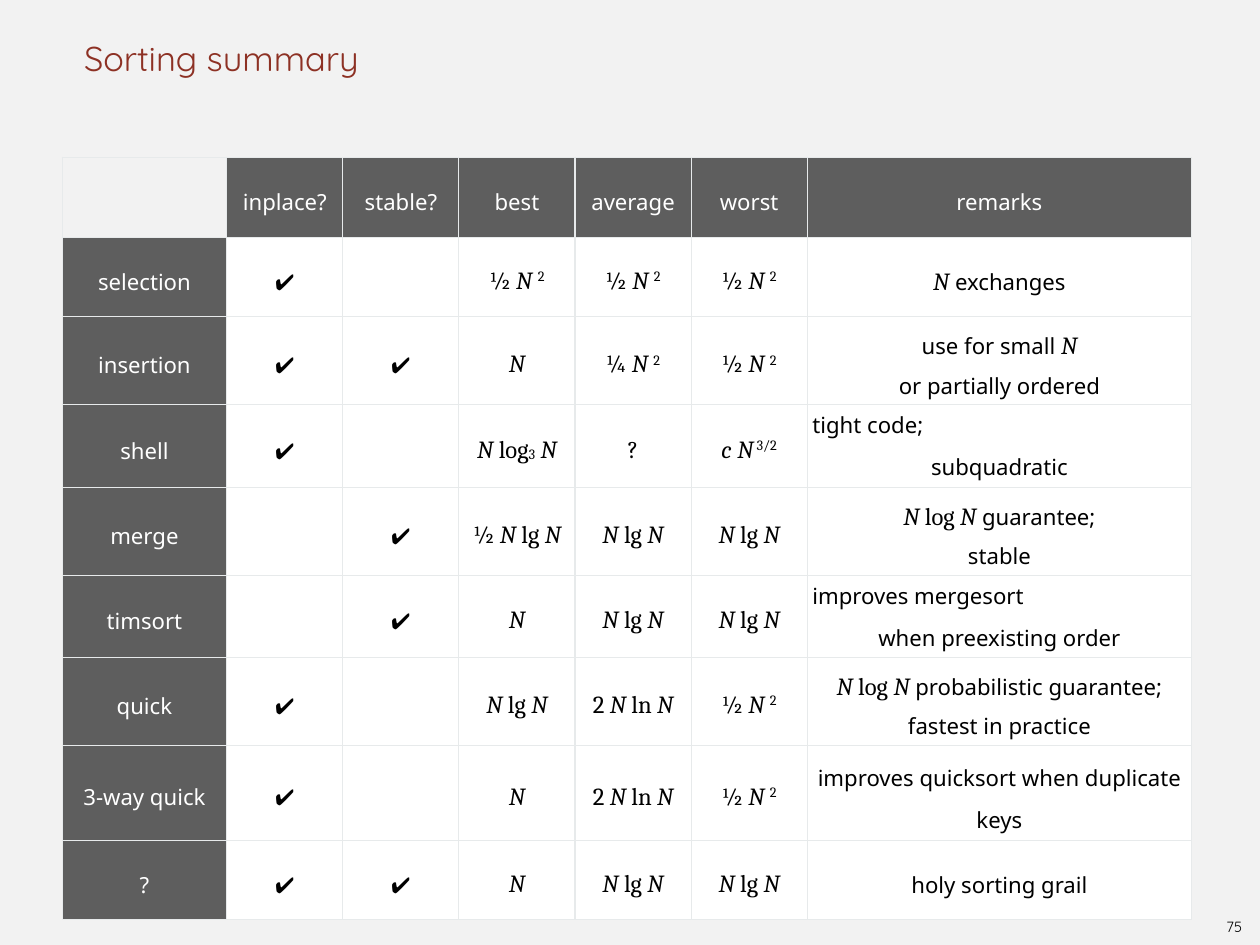
from lxml import etree
from pptx import Presentation
from pptx.dml.color import RGBColor
from pptx.enum.text import MSO_ANCHOR, PP_ALIGN
from pptx.oxml.ns import qn
from pptx.util import Inches, Pt

CENTER, LEFT = PP_ALIGN.CENTER, PP_ALIGN.LEFT
MIDDLE, BOTTOM = MSO_ANCHOR.MIDDLE, MSO_ANCHOR.BOTTOM
BACKGROUND = RGBColor(0xF2, 0xF2, 0xF2)
TITLE_RED = RGBColor(0x8D, 0x31, 0x24)
HEADER_GRAY = RGBColor(0x5E, 0x5E, 0x5E)
WHITE = RGBColor(0xFF, 0xFF, 0xFF)
BLACK = RGBColor(0x00, 0x00, 0x00)
BORDER = "E7EAEB"
SLIDE_WIDTH, SLIDE_HEIGHT = 14.22, 10.67
INSET = 0.06
COLUMN_WIDTHS = [1.86] + [1.31] * 5 + [4.34]
ROW_HEIGHTS = [0.9, 0.9, 0.99, 0.94, 0.99, 0.93, 0.99, 1.07, 0.9]
BASELINES = {"^": "32000", "_": "-6000"}

CHECK = "✔"
HALF_SQUARE = "~½|/ N |^2"
LINEARITHMIC = "/N|~ lg |/N"
LINEAR = "/N"
TWO_N_LN_N = "~2 |/N|~ ln |/N"
ROWS = [
    ["", "inplace?", "stable?", "best", "average", "worst", "remarks"],
    ["selection", CHECK, "", HALF_SQUARE, HALF_SQUARE, HALF_SQUARE, "/N| exchanges"],
    ["insertion", CHECK, CHECK, LINEAR, "~¼|/ N |^2", HALF_SQUARE,
     "use for small |/N\nor partially ordered"],
    ["shell", CHECK, "", "/N |~log|_3|/ N", "~?", "/c N|^ 3/2",
     "tight code;\nsubquadratic"],
    ["merge", "", CHECK, "~½ |/N|~ lg |/N", LINEARITHMIC, LINEARITHMIC,
     "/N |~log |/N| guarantee;\nstable"],
    ["timsort", "", CHECK, LINEAR, LINEARITHMIC, LINEARITHMIC,
     "improves mergesort\nwhen preexisting order"],
    ["quick", CHECK, "", LINEARITHMIC, TWO_N_LN_N, HALF_SQUARE,
     "/N |~log |/N| probabilistic guarantee;\nfastest in practice"],
    ["3-way quick", CHECK, "", LINEAR, TWO_N_LN_N, HALF_SQUARE,
     "improves quicksort when duplicate keys"],
    ["?", CHECK, CHECK, LINEAR, LINEARITHMIC, LINEARITHMIC, "holy sorting grail"],
]
LOOSE_REMARKS = ("shell", "timsort", "3-way quick")
LEFT_FIRST_LINES = ("shell", "timsort")


def add_run(paragraph, text, size, font_name, color):
    run = paragraph.add_run()
    run.text = text
    run.font.size = Pt(size)
    run.font.name = font_name
    run.font.color.rgb = color
    return run


def add_label(slide, box, text, size, color, anchor, alignment, inset):
    shape = slide.shapes.add_textbox(*[Inches(length) for length in box])
    frame = shape.text_frame
    frame.word_wrap = alignment == LEFT
    frame.vertical_anchor = anchor
    frame.margin_left = frame.margin_right = Inches(inset)
    frame.margin_top = frame.margin_bottom = Inches(inset)
    paragraph = frame.paragraphs[0]
    paragraph.alignment = alignment
    add_run(paragraph, text, size, "Quicksand", color)
    return paragraph


presentation = Presentation()
presentation.slide_width = Inches(SLIDE_WIDTH)
presentation.slide_height = Inches(SLIDE_HEIGHT)
slide = presentation.slides.add_slide(presentation.slide_layouts[6])
slide.background.fill.solid()
slide.background.fill.fore_color.rgb = BACKGROUND

add_label(slide, (13.76, 10.3, 0.34, 0.32), "75", 12, BLACK, MIDDLE, CENTER, INSET)
title = add_label(slide, (SLIDE_WIDTH / 16, 0, SLIDE_WIDTH * 7 / 8, SLIDE_HEIGHT / 12),
                  "Sorting summary", 28, TITLE_RED, BOTTOM, LEFT, 0)
title._p.get_or_add_pPr().set("marL", str(Inches(INSET)))

table = slide.shapes.add_table(
    len(ROWS), len(COLUMN_WIDTHS), Inches(0.7), Inches(SLIDE_HEIGHT / 6),
    Inches(sum(COLUMN_WIDTHS)), Inches(sum(ROW_HEIGHTS))).table
table.first_row = False
table.horz_banding = False
for column, width in zip(table.columns, COLUMN_WIDTHS):
    column.width = Inches(width)

for row_index, row in enumerate(ROWS):
    table.rows[row_index].height = Inches(ROW_HEIGHTS[row_index])
    name = row[0]
    for column_index, content in enumerate(row):
        cell = table.cell(row_index, column_index)
        cell.vertical_anchor = MIDDLE
        cell.margin_left = cell.margin_right = Inches(INSET)
        cell.margin_top = cell.margin_bottom = Inches(INSET)
        properties = cell._tc.get_or_add_tcPr()
        for side in ("a:lnL", "a:lnR", "a:lnT", "a:lnB"):
            line = etree.SubElement(properties, qn(side), w=str(Pt(1)))
            line_fill = etree.SubElement(line, qn("a:solidFill"))
            etree.SubElement(line_fill, qn("a:srgbClr"), val=BORDER)

        is_header = row_index == 0 or column_index == 0
        is_remark = column_index == len(row) - 1
        if row_index == column_index == 0:
            cell.fill.background()
        else:
            cell.fill.solid()
            cell.fill.fore_color.rgb = HEADER_GRAY if is_header else WHITE
        if not content:
            continue

        for line_index, text in enumerate(content.split("\n")):
            frame = cell.text_frame
            paragraph = frame.add_paragraph() if line_index else frame.paragraphs[0]
            if is_remark and line_index == 0 and name in LEFT_FIRST_LINES:
                paragraph.alignment = LEFT
                paragraph.line_spacing = 1.0
            else:
                paragraph.alignment = CENTER
                paragraph.line_spacing = 1.4 if is_remark and name in LOOSE_REMARKS else 1.3
                for margin in ("marL", "marR"):
                    paragraph._p.get_or_add_pPr().set(margin, str(Inches(INSET)))
            for piece in text.split("|"):
                if piece[0] not in "/~^_":
                    add_run(paragraph, piece, 18, "Noto Sans", WHITE if is_header else BLACK)
                    continue
                run = add_run(paragraph, piece[1:], 20, "Cambria", BLACK)
                run.font.italic = piece[0] == "/"
                if piece[0] in BASELINES:
                    run.font._element.set("baseline", BASELINES[piece[0]])

presentation.save("out.pptx")
